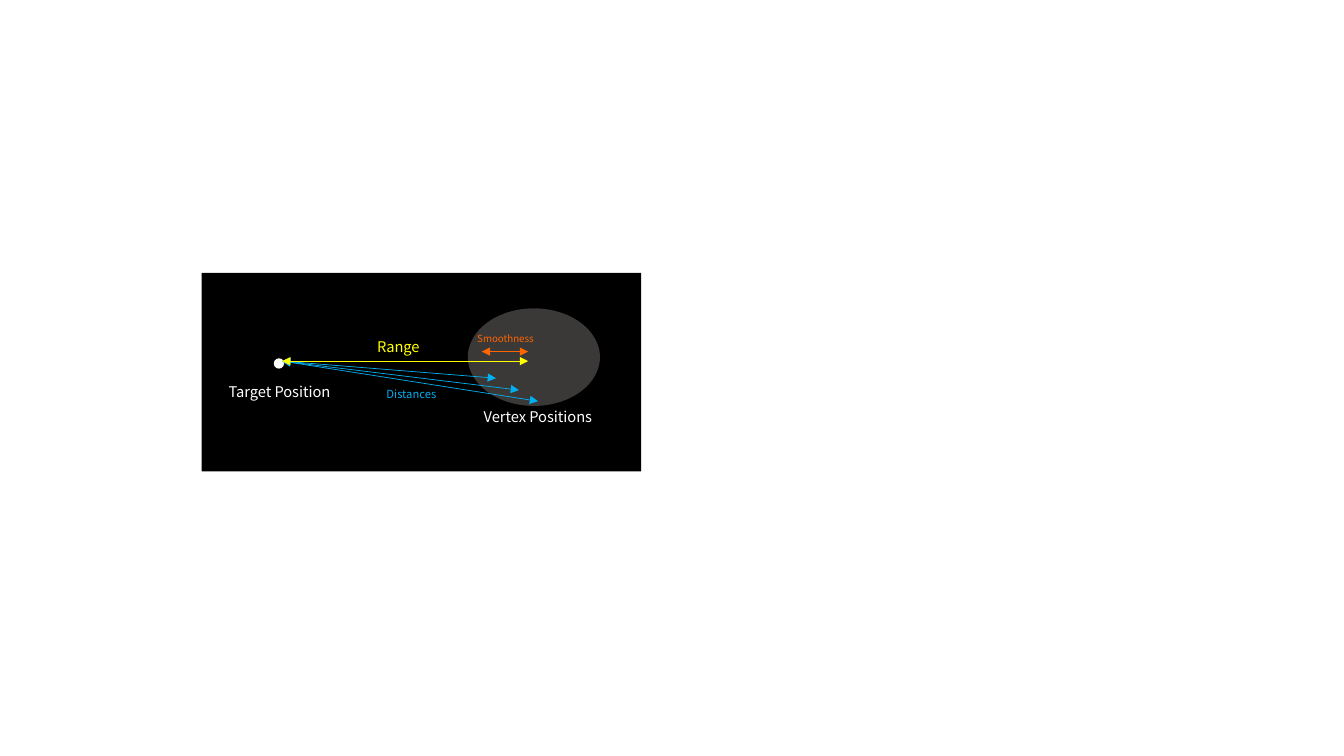
from lxml import etree
from pptx import Presentation
from pptx.dml.color import RGBColor
from pptx.enum.shapes import MSO_CONNECTOR, MSO_SHAPE
from pptx.enum.text import MSO_AUTO_SIZE, PP_ALIGN
from pptx.oxml.ns import qn
from pptx.util import Cm, Pt

STRAIGHT = MSO_CONNECTOR.STRAIGHT
RECTANGLE, OVAL = MSO_SHAPE.RECTANGLE, MSO_SHAPE.OVAL
LEFT, CENTER = PP_ALIGN.LEFT, PP_ALIGN.CENTER
FIT_SHAPE = MSO_AUTO_SIZE.SHAPE_TO_FIT_TEXT

FONT = "Noto Sans CJK KR"
COLORS = {
    "panel": "000000",
    "target": "FFFFFF",
    "vertices": "3B3838",
    "range": "FFFF00",
    "smoothness": "FF6600",
    "distance": "00B0F0",
}
LINE_WIDTH = 0.5
LABEL_WIDTH = 3.12


def color(name):
    """Return the named colour."""
    return RGBColor.from_string(COLORS[name])


def add_filled_shape(slide, kind, left, top, width, height, fill):
    """Add a preset shape with a plain fill and no outline."""
    shape = slide.shapes.add_shape(kind, Cm(left), Cm(top), Cm(width), Cm(height))
    shape.shadow.inherit = False
    shape.fill.solid()
    shape.fill.fore_color.rgb = color(fill)
    shape.line.fill.background()


def add_label(slide, text, left, top, width, height, size, fill, alignment=CENTER):
    """Add a one-line text label."""
    box = slide.shapes.add_textbox(Cm(left), Cm(top), Cm(width), Cm(height))
    frame = box.text_frame
    frame.word_wrap = True
    frame.auto_size = FIT_SHAPE
    paragraph = frame.paragraphs[0]
    paragraph.alignment = alignment
    run = paragraph.add_run()
    run.text = text
    run.font.name = FONT
    run.font.size = Pt(size)
    run.font.color.rgb = color(fill)


def add_double_arrow(slide, start, end, stroke):
    """Add a thin straight line with a triangle at both ends."""
    arrow = slide.shapes.add_connector(STRAIGHT, *map(Cm, start + end))
    arrow.line.width = Pt(LINE_WIDTH)
    arrow.line.color.rgb = color(stroke)
    outline = arrow.line._get_or_add_ln()
    for tag in ("a:headEnd", "a:tailEnd"):
        etree.SubElement(outline, qn(tag), type="triangle")
    etree.SubElement(arrow._element.spPr, qn("a:effectLst"))


def main():
    """Build the range and smoothness diagram."""
    presentation = Presentation()
    presentation.slide_width = Cm(33.87)
    presentation.slide_height = Cm(19.05)
    slide = presentation.slides.add_slide(presentation.slide_layouts[6])

    add_filled_shape(slide, RECTANGLE, 5.08, 6.88, 11.08, 5, "panel")
    add_filled_shape(slide, OVAL, 6.9, 9.03, 0.26, 0.26, "target")
    add_label(slide, "Target Position", 5.51, 9.53, LABEL_WIDTH, 0.71, 10.5, "target", LEFT)
    add_filled_shape(slide, OVAL, 11.79, 7.77, 3.33, 2.46, "vertices")
    add_label(slide, "Vertex Positions", 11.94, 10.14, 3.4, 0.71, 10.5, "target", LEFT)
    add_label(slide, "Range", 8.48, 8.38, LABEL_WIDTH, 0.71, 10.5, "range")

    range_end = 13.31
    add_double_arrow(slide, (12.14, 8.86), (range_end, 8.86), "smoothness")
    add_label(slide, "Smoothness", 11.18, 8.26, LABEL_WIDTH, 0.56, 7, "smoothness")

    target_edge = (7.11, 9.1)
    for vertex in ((12.5, 9.53), (13.08, 9.83), (13.56, 10.11)):
        add_double_arrow(slide, target_edge, vertex, "distance")
    add_label(slide, "Distances", 8.81, 9.63, LABEL_WIDTH, 0.61, 8, "distance")
    add_double_arrow(slide, target_edge, (range_end, target_edge[1]), "range")

    presentation.save("out.pptx")


if __name__ == "__main__":
    main()
